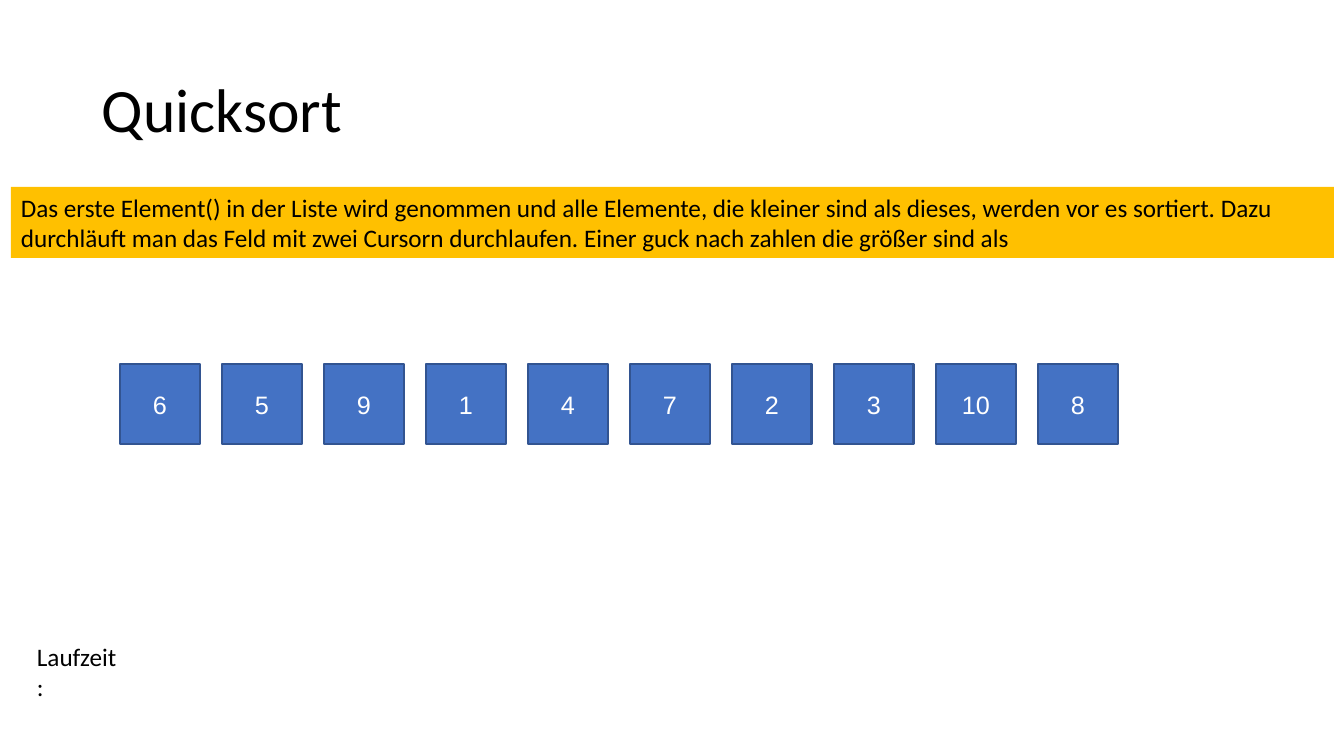
import dataclasses
import typing

import pptx
import pptx.dml.color
import pptx.enum.shapes
import pptx.enum.text
import pptx.util

EMU_PER_PIXEL = 12192000 / 1344
COLORS = {
    "black": "000000",
    "white": "FFFFFF",
    "amber": "FFC000",
    "blue": "4472C4",
    "navy": "325491",
}
ALIGN = pptx.enum.text.PP_ALIGN
ANCHOR = pptx.enum.text.MSO_ANCHOR

NUMBERS = [6, 5, 9, 1, 4, 7, 2, 3, 10, 8]
TILE_LEFT, TILE_TOP, TILE_SIZE, TILE_STEP = 120, 364, 80, 102


@dataclasses.dataclass(frozen=True)
class Block:
    """A piece of text with its place in pixels and its formats."""

    text: str
    left: int
    top: int
    width: int
    height: int
    fill: typing.Optional[str] = None
    line: typing.Optional[str] = None
    color: str = "black"
    font: dict = dataclasses.field(default_factory=dict)
    para: dict = dataclasses.field(default_factory=dict)
    frame: dict = dataclasses.field(default_factory=dict)


def pixels(count: int) -> pptx.util.Emu:
    """Turn whole pixels into EMU."""
    return pptx.util.Emu(round(count * EMU_PER_PIXEL))


def rgb(name: str) -> pptx.dml.color.RGBColor:
    """Look up a named colour."""
    return pptx.dml.color.RGBColor.from_string(COLORS[name])


def apply(target: typing.Any, formats: dict) -> None:
    """Set each format value on the target."""
    for name, value in formats.items():
        setattr(target, name, value)


def draw_block(page: typing.Any, block: Block) -> None:
    """Draw a filled rectangle, or a text box when there is no fill."""
    place = [pixels(n) for n in (block.left, block.top, block.width, block.height)]
    if block.fill:
        box = page.shapes.add_shape(pptx.enum.shapes.MSO_SHAPE.RECTANGLE, *place)
        box.shadow.inherit = False
        box.fill.solid()
        box.fill.fore_color.rgb = rgb(block.fill)
        if block.line:
            box.line.color.rgb = rgb(block.line)
            box.line.width = pptx.util.Pt(2)
        else:
            box.line.fill.background()
    else:
        box = page.shapes.add_textbox(*place)
    apply(box.text_frame, {"word_wrap": True, **block.frame})
    para = box.text_frame.paragraphs[0]
    apply(para, {"alignment": ALIGN.LEFT, **block.para})
    span = para.add_run()
    span.text = block.text
    apply(span.font, {"name": "Calibri", "size": pptx.util.Pt(18), **block.font})
    span.font.color.rgb = rgb(block.color)


def number_tile(index: int, number: int) -> Block:
    """Describe one tile of the list to be sorted."""
    return Block(
        str(number), TILE_LEFT + index * TILE_STEP, TILE_TOP, TILE_SIZE, TILE_SIZE,
        fill="blue", line="navy", color="white",
        font={"name": "Arial"},
        para={"alignment": ALIGN.CENTER},
        frame={"vertical_anchor": ANCHOR.MIDDLE},
    )


BLOCKS = [
    Block(
        "Quicksort", 92, 40, 1159, 146,
        font={"size": pptx.util.Pt(44)},
        para={"line_spacing": 0.9},
        frame={"vertical_anchor": ANCHOR.MIDDLE},
    ),
    Block(
        "Das erste Element() in der Liste wird genommen und alle Elemente, "
        "die kleiner sind als dieses, werden vor es sortiert. Dazu durchläuft "
        "man das Feld mit zwei Cursorn durchlaufen. Einer guck nach zahlen "
        "die größer sind als",
        11, 187, 1323, 71,
        fill="amber",
        frame={"vertical_anchor": ANCHOR.MIDDLE},
    ),
    Block(
        "Laufzeit:", 27, 636, 106, 40,
        frame={
            "word_wrap": False,
            "auto_size": pptx.enum.text.MSO_AUTO_SIZE.SHAPE_TO_FIT_TEXT,
        },
    ),
    *(number_tile(index, number) for index, number in enumerate(NUMBERS)),
]

deck = pptx.Presentation()
deck.slide_width, deck.slide_height = pixels(1344), pixels(756)
page = deck.slides.add_slide(deck.slide_layouts[6])
for block in BLOCKS:
    draw_block(page, block)
deck.save("out.pptx")
